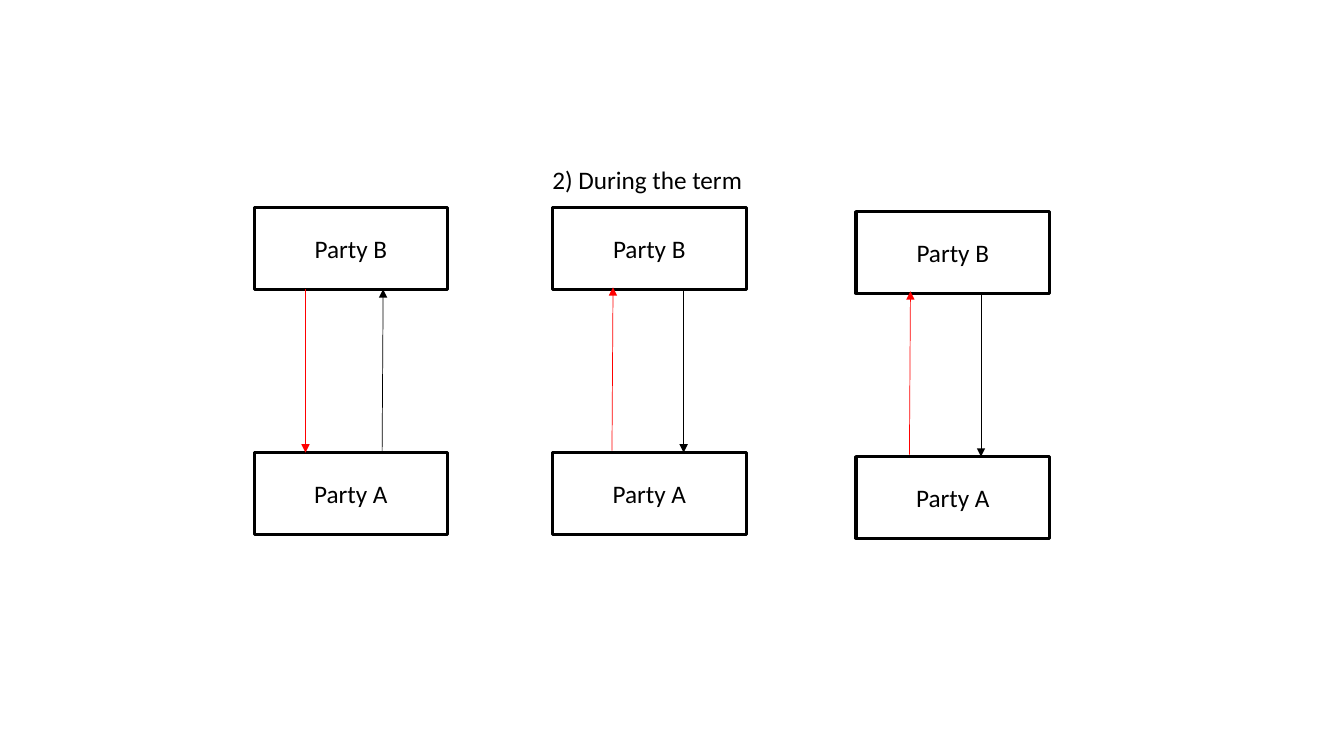
from pptx import Presentation
from pptx.dml.color import RGBColor as RGB
from pptx.enum.shapes import MSO_CONNECTOR as CONN, MSO_SHAPE as SHAPE
from pptx.enum.text import MSO_ANCHOR as ANCHOR, MSO_AUTO_SIZE as AUTO, PP_ALIGN as ALIGN
from pptx.oxml.ns import qn
from pptx.util import Inches, Pt
from lxml.etree import SubElement

HEX = {"black": "000000", "red": "FF0000"}
WIDE, HIGH, DROP = 1.92, 0.81, 2.43

deck = Presentation()
deck.slide_width, deck.slide_height = Inches(13.33), Inches(7.5)
slide = deck.slides.add_slide(deck.slide_layouts[6])


def write(frame, text):
    para = frame.paragraphs[0]
    run = para.add_run()
    run.text = text
    run.font.name = "Calibri"
    run.font.size = Pt(18)
    run.font.color.rgb = RGB.from_string(HEX["black"])
    return para


def arrow(x1, y1, x2, y2, tint):
    line = slide.shapes.add_connector(
        CONN.STRAIGHT, Inches(x1), Inches(y1), Inches(x2), Inches(y2))
    line.line.color.rgb = RGB.from_string(HEX[tint])
    line.line.width = Pt(0.5)
    SubElement(line.line._get_or_add_ln(), qn("a:tailEnd"), type="triangle")
    SubElement(line._element.spPr, qn("a:effectLst"))


for left, top in [(2.52, 2.06), (5.48, 2.06), (8.49, 2.1)]:
    for name, y in [("Party B", top), ("Party A", top + DROP)]:
        box = slide.shapes.add_shape(
            SHAPE.RECTANGLE, Inches(left), Inches(y), Inches(WIDE), Inches(HIGH))
        box.shadow.inherit = False
        box.fill.background()
        box.line.color.rgb = RGB.from_string(HEX["black"])
        box.line.width = Pt(2.25)
        box.text_frame.vertical_anchor = ANCHOR.MIDDLE
        write(box.text_frame, name).alignment = ALIGN.CENTER

label = slide.shapes.add_textbox(Inches(5.38), Inches(1.58), Inches(2.11), Inches(0.4))
label.text_frame.word_wrap = False
label.text_frame.auto_size = AUTO.SHAPE_TO_FIT_TEXT
write(label.text_frame, "2) During the term")

for x1, y1, x2, y2, tint in [
    (3.03, 2.87, 3.03, 4.49, "red"),
    (3.79, 4.49, 3.8, 2.87, "black"),
    (6.07, 4.47, 6.08, 2.85, "red"),
    (6.78, 2.87, 6.78, 4.49, "black"),
    (9.02, 4.51, 9.03, 2.89, "red"),
    (9.73, 2.91, 9.73, 4.53, "black"),
]:
    arrow(x1, y1, x2, y2, tint)

deck.save("out.pptx")
